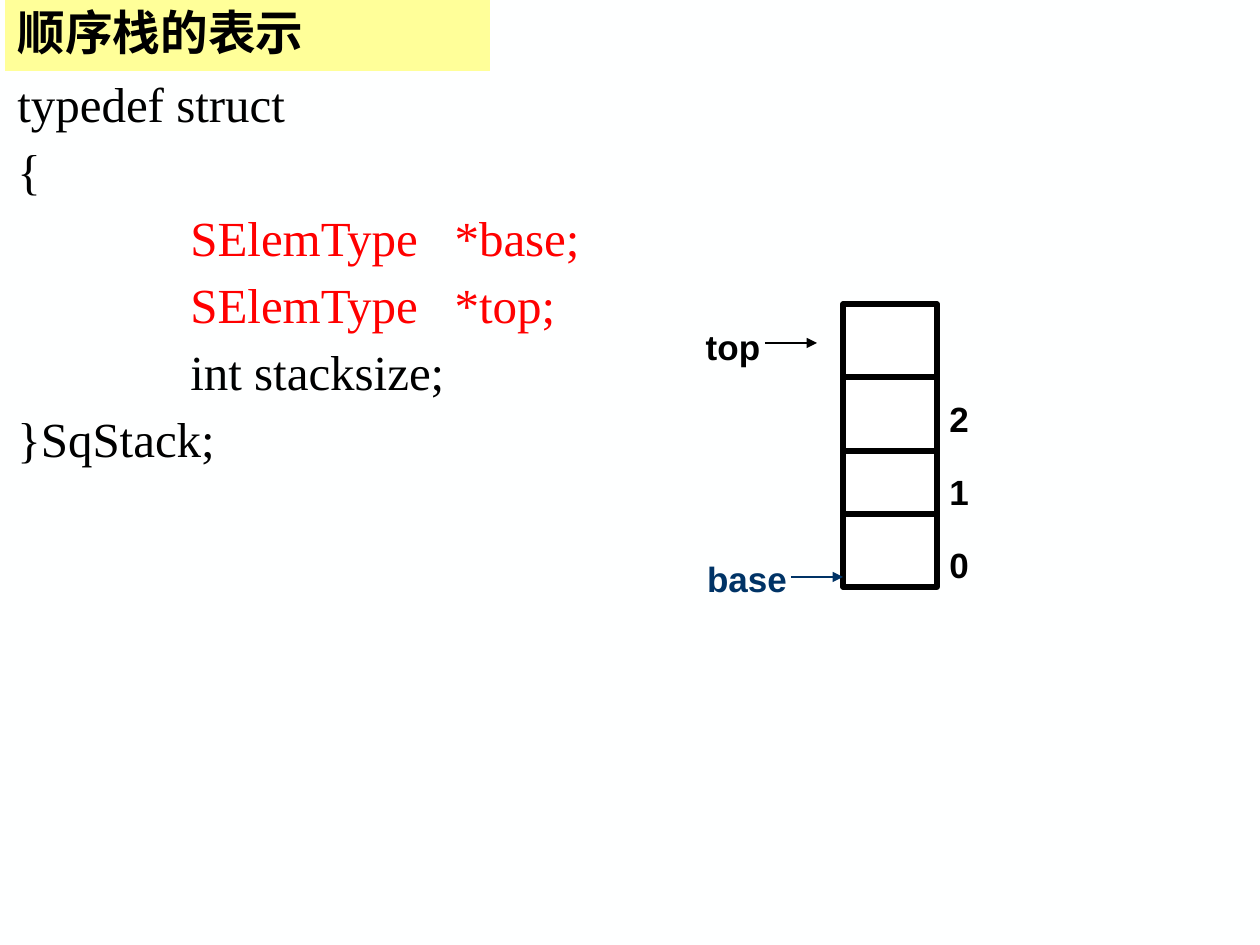
from lxml.etree import SubElement
from pptx import Presentation
from pptx.dml.color import RGBColor
from pptx.enum.shapes import MSO_CONNECTOR, MSO_SHAPE
from pptx.enum.text import MSO_ANCHOR, PP_ALIGN
from pptx.oxml.ns import qn
from pptx.util import Pt

PX = 914400 // 126  # EMU in one pixel
COLORS = {
    "background": "FEFFFF",
    "banner": "FFFF99",
    "cell": "FFFFFF",
    "ink": "000000",
    "member": "FF0000",
    "base": "003366",
}


def color(name):
    return RGBColor.from_string(COLORS[name])


def px(*lengths):
    return [round(length * PX) for length in lengths]


def add_rectangle(page, box, fill, line=None):
    shape = page.shapes.add_shape(MSO_SHAPE.RECTANGLE, *px(*box))
    shape.shadow.inherit = False
    shape.fill.solid()
    shape.fill.fore_color.rgb = color(fill)
    if line:
        shape.line.color.rgb = color(line)
        shape.line.width = Pt(3)
    else:
        shape.line.fill.background()
    return shape


def add_line(page, start, end, ink="ink", width=3, arrow=False):
    line = page.shapes.add_connector(MSO_CONNECTOR.STRAIGHT, *px(*start, *end))
    line.line.color.rgb = color(ink)
    line.line.width = Pt(width)
    if arrow:
        SubElement(line.line._get_or_add_ln(), qn("a:tailEnd"), type="triangle")
    SubElement(line._element.spPr, qn("a:effectLst"))


def write(para, text, font="Arial", size=20, ink="ink", bold=False,
          align=PP_ALIGN.LEFT, spacing=None, before=0, indent=0):
    """Fill one paragraph with one formatted span."""
    para.alignment = align
    para.space_before = Pt(before)
    if spacing:
        para.line_spacing = spacing
    if indent:
        para._p.get_or_add_pPr().set("marL", str(indent * PX))
    span = para.add_run()
    span.text = text
    span.font.name = font
    span.font.size = Pt(size)
    span.font.bold = bold
    span.font.color.rgb = color(ink)
    properties = span.font._element
    SubElement(properties, qn("a:ea"), typeface=font)


def add_text_frame(page, box):
    frame = page.shapes.add_textbox(*px(*box)).text_frame
    frame.word_wrap = True
    return frame


def add_label(page, box, text, **style):
    write(add_text_frame(page, box).paragraphs[0], text, bold=True, **style)


def build_title(page, box):
    frame = add_rectangle(page, box, "banner").text_frame
    frame.word_wrap = True
    frame.vertical_anchor = MSO_ANCHOR.MIDDLE
    write(frame.paragraphs[0], "顺序栈的表示", font="Noto Sans CJK SC",
          size=27.2, bold=True, spacing=0.9)


def build_code(page, box):
    member_indent = 173
    lines = [
        ("typedef struct", "ink", 0),
        ("{", "ink", 0),
        ("SElemType   *base;", "member", member_indent),
        ("SElemType   *top;", "member", member_indent),
        ("int stacksize;", "ink", member_indent),
        ("}SqStack;", "ink", 0),
    ]
    frame = add_text_frame(page, box)
    for number, (text, ink, indent) in enumerate(lines):
        para = frame.add_paragraph() if number else frame.paragraphs[0]
        write(para, text, font="Times New Roman", size=28, ink=ink,
              spacing=0.9, before=8 if number else 0, indent=indent)


def build_stack(page, box):
    left, top, width, height = box
    right = left + width
    add_rectangle(page, box, "cell", line="ink")

    # Cell borders
    for offset in (73, 147, 210):
        add_line(page, (left, top + offset), (right, top + offset))

    # Cell numbers
    for row, number in enumerate("210"):
        add_label(page, (right, top + 87 + 73 * row, 42, 55), number)

    # Pointers: name, label offset, arrow offset, arrow length, colour
    pointers = [
        ("top", (-194, 15), (-78, 39), 52, "ink"),
        ("base", (-180, 247), (-52, 273), 52, "base"),
    ]
    for name, (label_x, label_y), (arrow_x, arrow_y), length, ink in pointers:
        add_label(page, (left + label_x, top + label_y, 168, 55), name,
                  ink=ink, align=PP_ALIGN.CENTER)
        start = (left + arrow_x, top + arrow_y)
        end = (start[0] + length, start[1])
        add_line(page, start, end, ink=ink, width=1.5, arrow=True)


def main():
    deck = Presentation()
    deck.slide_width, deck.slide_height = px(1260, 945)
    page = deck.slides.add_slide(deck.slide_layouts[6])
    page.background.fill.solid()
    page.background.fill.fore_color.rgb = color("background")

    build_code(page, (5, 74, 745, 567))
    build_title(page, (5, 0, 485, 71))
    build_stack(page, (843, 304, 94, 283))
    deck.save("out.pptx")


if __name__ == "__main__":
    main()
